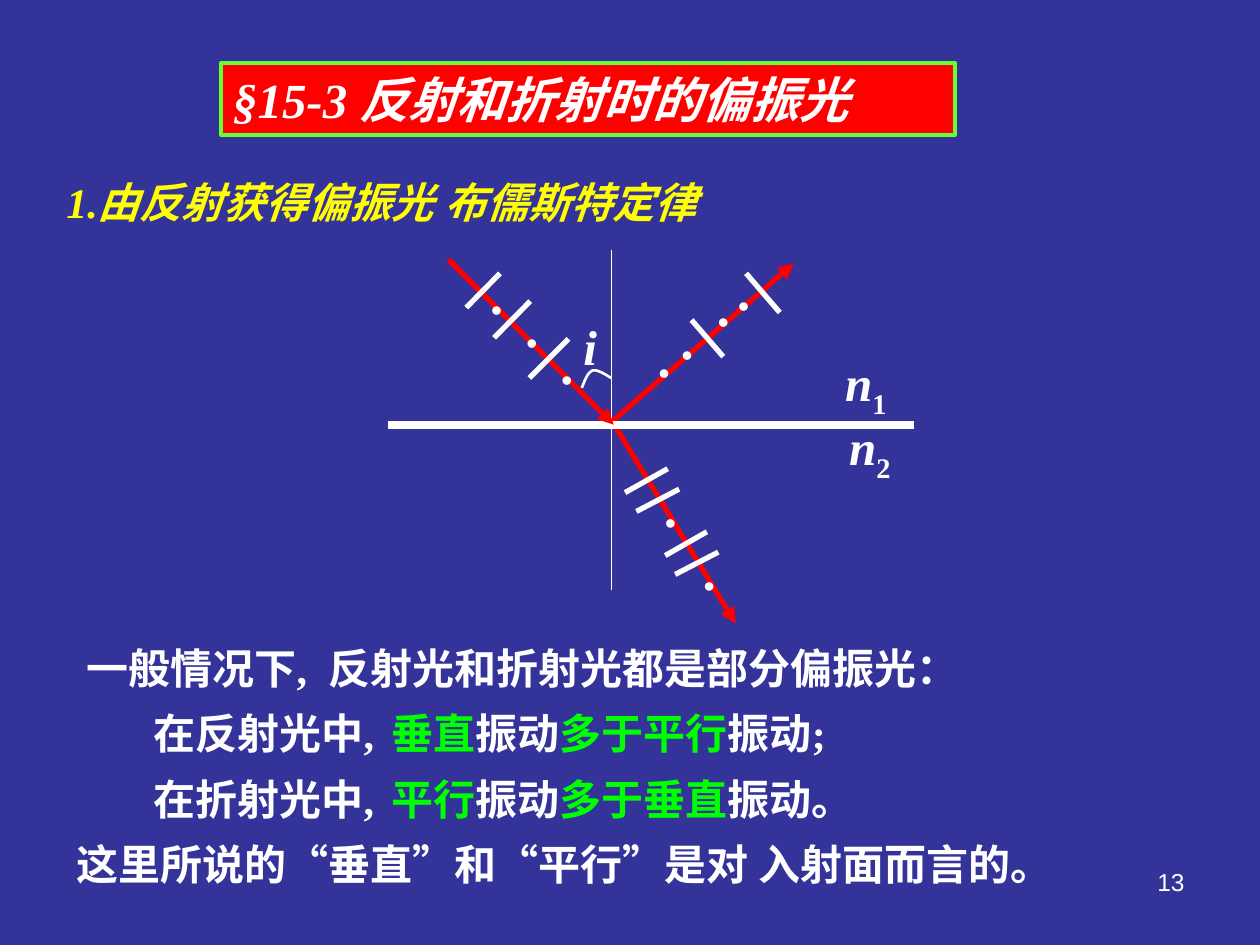
from lxml import etree
from pptx import Presentation
from pptx import util as u
from pptx.dml.color import RGBColor
from pptx.enum import shapes, text
from pptx.oxml.ns import qn

NAVY = RGBColor(0x33, 0x33, 0x99)
WHITE = RGBColor(0xFF, 0xFF, 0xFF)
RED = RGBColor(0xFF, 0x00, 0x00)
YELLOW = RGBColor(0xFF, 0xFF, 0x00)
GREEN = RGBColor(0x00, 0xFF, 0x00)
LIME = RGBColor(0x66, 0xFF, 0x33)
SERIF, SANS = "Times New Roman", "Arial"

INCIDENT = dict(
    ray=(9.04, 5.23, 12.37, 8.56),
    ticks=[(9.4, 6.2, 10.08, 5.51), (9.96, 6.81, 10.69, 6.07), (10.67, 7.62, 11.46, 6.83)],
    dots=[(9.65, 5.72), (10.36, 6.38), (11.07, 7.14)],
)
REFLECTED = dict(
    ray=(12.32, 8.51, 16, 5.31),
    ticks=[(13.94, 6.45, 14.58, 7.19), (15.04, 5.51, 15.72, 6.3)],
    dots=[(13.03, 6.99), (13.49, 6.63), (14.22, 5.97), (14.63, 5.64)],
)
REFRACTED = dict(
    ray=(12.32, 8.46, 14.83, 12.57),
    ticks=[(12.6, 9.93, 13.46, 9.45), (12.83, 10.31, 13.69, 9.86),
           (13.41, 11.2, 14.25, 10.72), (13.61, 11.58, 14.48, 11.13)],
    dots=[(13.16, 10.06), (13.94, 11.33)],
    tilt=15.7,
)
ANGLE_CURVES = [
    [(11.73, 7.82), (11.79, 7.67), (11.84, 7.52), (11.94, 7.47)],
    [(11.94, 7.47), (12.04, 7.44), (12.19, 7.54), (12.32, 7.62)],
]


def add_box(page, left, top, width, height):
    box = page.shapes.add_textbox(u.Cm(left), u.Cm(top), u.Cm(width), u.Cm(height))
    box.text_frame.word_wrap = True
    return box


def set_layout(para, indent=0, tab=None):
    properties = para._p.get_or_add_pPr()
    properties.set("marL", "0")
    properties.set("indent", str(u.Cm(indent)))
    if tab:
        tabs = etree.SubElement(properties, qn("a:tabLst"))
        etree.SubElement(tabs, qn("a:tab"), pos=str(u.Cm(tab)), algn="l")


def add_span(para, words, size, color=WHITE, font=SERIF, bold=True, italic=False):
    span = para.add_run()
    span.text = words
    span.font.size = u.Pt(size)
    span.font.name = font
    span.font.bold = bold
    span.font.italic = italic
    span.font.color.rgb = color
    return span


def add_line(page, ends, color=WHITE, width=3, arrow=False):
    line = page.shapes.add_connector(
        shapes.MSO_CONNECTOR.STRAIGHT, *[u.Cm(value) for value in ends])
    line.line.color.rgb = color
    line.line.width = u.Pt(width)
    if arrow:
        etree.SubElement(line.line._get_or_add_ln(), qn("a:tailEnd"), type="triangle")
    etree.SubElement(line._element.spPr, qn("a:effectLst"))


def add_dot(page, left, top, tilt):
    box = add_box(page, left, top, 1.09, 1.02)
    box.rotation = tilt
    add_span(box.text_frame.paragraphs[0], "•", 18, font=SANS, bold=False)


def add_beam(page, ray, ticks, dots, tilt=0):
    add_line(page, ray, RED, arrow=True)
    for tick in ticks:
        add_line(page, tick)
    for left, top in dots:
        add_dot(page, left, top, tilt)


def add_symbol(page, left, top, width, height, letter, index=""):
    box = add_box(page, left, top, width, height)
    para = box.text_frame.paragraphs[0]
    add_span(para, letter, 28, italic=True)
    if index:
        span = add_span(para, index, 28)
        span.font._element.set("baseline", "-25000")


def curve_point(controls, t):
    weights = ((1 - t) ** 3, 3 * t * (1 - t) ** 2, 3 * t * t * (1 - t), t ** 3)
    return tuple(int(u.Cm(sum(w * point[axis] for w, point in zip(weights, controls))))
                 for axis in (0, 1))


def add_angle_arc(page):
    steps = 10
    points = [curve_point(controls, step / steps)
              for controls in ANGLE_CURVES for step in range(1, steps + 1)]
    start = curve_point(ANGLE_CURVES[0], 0)
    builder = page.shapes.build_freeform(*start)
    builder.add_line_segments(points, close=False)
    arc = builder.convert_to_shape()
    arc.shadow.inherit = False
    arc.fill.background()
    arc.line.color.rgb = WHITE
    arc.line.width = u.Pt(1.5)


def add_title(page):
    title = page.shapes.add_shape(
        shapes.MSO_SHAPE.RECTANGLE, u.Cm(4.45), u.Cm(1.27), u.Cm(14.81), u.Cm(1.45))
    title.shadow.inherit = False
    title.fill.solid()
    title.fill.fore_color.rgb = RED
    title.line.color.rgb = LIME
    title.line.width = u.Pt(2.25)
    title.text_frame.vertical_anchor = text.MSO_ANCHOR.TOP
    para = title.text_frame.paragraphs[0]
    para.alignment = text.PP_ALIGN.LEFT
    set_layout(para, tab=3.28)
    add_span(para, "§15-3\t反射和折射时的偏振光", 28, italic=True)


def add_heading(page):
    para = add_box(page, 1.09, 3.12, 16.15, 1.57).text_frame.paragraphs[0]
    para.line_spacing = 1.3
    set_layout(para, tab=8.6)
    add_span(para, "1.由反射获得偏振光\t布儒斯特定律", 24, YELLOW, italic=True)


def add_conclusions(page):
    rows = [
        (0.2, 5.5, [("一般情况下,\t反射光和折射光都是部分偏振光：", WHITE)]),
        (1.55, 6.8, [("在反射光中,\t", WHITE), ("垂直", GREEN), ("振动", WHITE),
                     ("多于平行", GREEN), ("振动;", WHITE)]),
        (1.55, 6.8, [("在折射光中,\t", WHITE), ("平行", GREEN), ("振动", WHITE),
                     ("多于垂直", GREEN), ("振动。", WHITE)]),
        (0, None, [("这里所说的“垂直”和“平行”是对 入射面而言的。", WHITE)]),
    ]
    frame = add_box(page, 1.3, 12.52, 21, 5.54).text_frame
    for number, (indent, tab, spans) in enumerate(rows):
        para = frame.add_paragraph() if number else frame.paragraphs[0]
        para.line_spacing = 1.3
        set_layout(para, indent, tab)
        for words, color in spans:
            add_span(para, words, 24, color)


def add_page_number(page):
    para = add_box(page, 18.21, 17.35, 5.92, 1.32).text_frame.paragraphs[0]
    para.alignment = text.PP_ALIGN.RIGHT
    add_span(para, "13", 14, font=SANS, bold=False)


def main():
    deck = Presentation()
    deck.slide_width, deck.slide_height = u.Cm(25.4), u.Cm(19.05)
    page = deck.slides.add_slide(deck.slide_layouts[6])
    page.background.fill.solid()
    page.background.fill.fore_color.rgb = NAVY
    add_page_number(page)
    add_title(page)
    add_heading(page)
    add_conclusions(page)
    add_beam(page, **REFLECTED)
    add_beam(page, **REFRACTED)
    add_line(page, (7.82, 8.56, 18.42, 8.56), width=4.5)
    add_symbol(page, 16.79, 6.99, 1.52, 1.6, "n", "1")
    add_symbol(page, 16.87, 8.28, 1.52, 1.6, "n", "2")
    add_line(page, (12.32, 5.03, 12.32, 11.89), width=0.75)
    add_beam(page, **INCIDENT)
    add_angle_arc(page)
    add_symbol(page, 11.51, 6.25, 1.32, 1.45, "i")
    deck.save("out.pptx")


if __name__ == "__main__":
    main()
